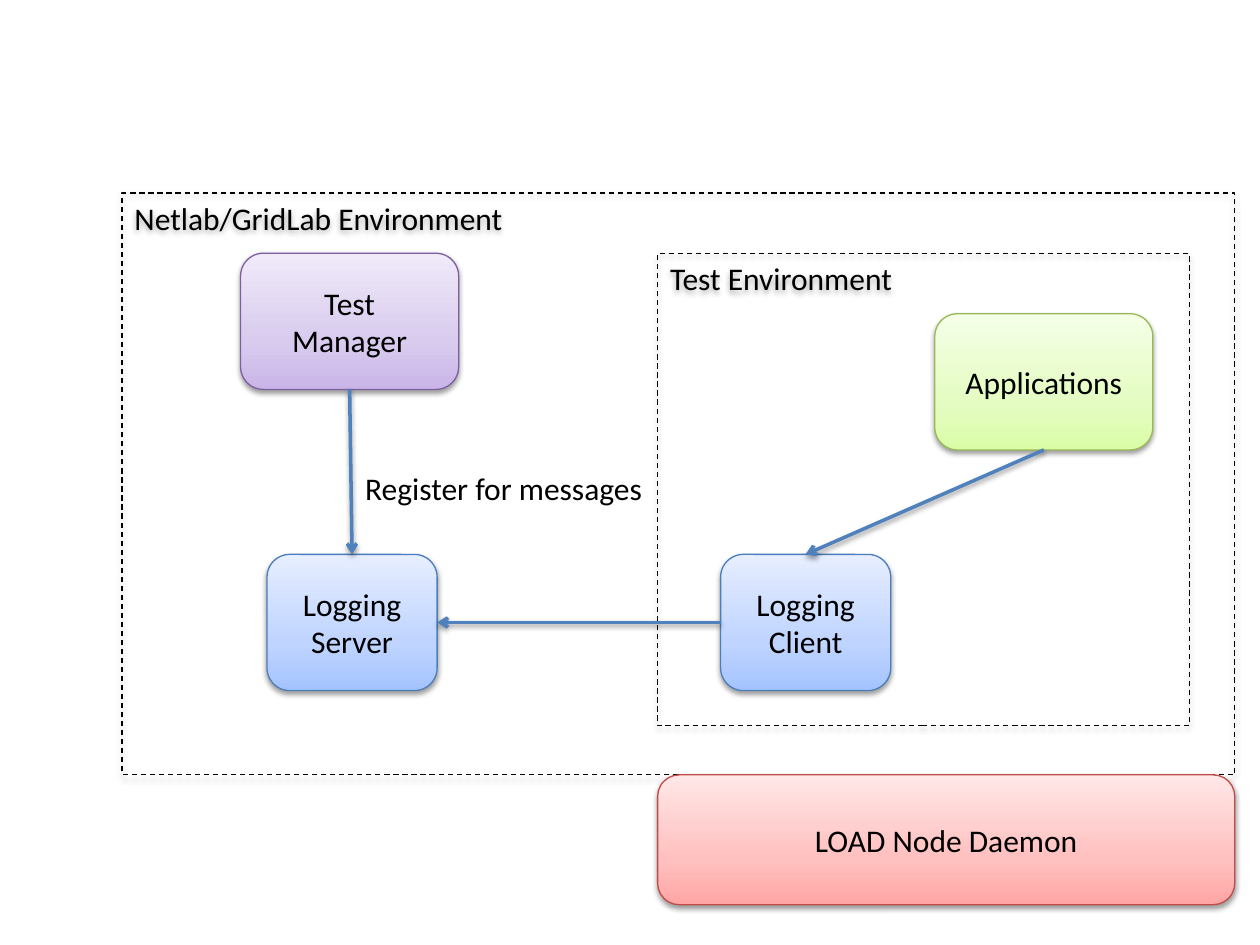
"""Build the logging architecture slide."""
import lxml.etree
import pptx
import pptx.dml.color
import pptx.enum.dml
import pptx.enum.shapes
import pptx.enum.text
import pptx.oxml
import pptx.oxml.ns
import pptx.util

Pt = pptx.util.Pt
SHAPE = pptx.enum.shapes.MSO_SHAPE
ALIGN = pptx.enum.text.PP_ALIGN
ANCHOR = pptx.enum.text.MSO_ANCHOR
NS = pptx.oxml.ns.nsdecls("a")
BLUE = ("A4C4FF", "BFD4FF", "E6EEFF", "4B7EBC")
GREEN = ("DAFDA7", "E4FCC2", "F5FFE7", "98B955")
PURPLE = ("C9B5E8", "D8CBEE", "F0EAF9", "7D60A0")
RED = ("FFA6A5", "FFC0BF", "FFE7E7", "BF4C48")
NODE_H = 77.8


def rgb(value):
    """Return a colour from a hex string."""
    return pptx.dml.color.RGBColor.from_string(value)


def set_attrs(obj, values):
    """Set each attribute named in a dict."""
    for name, value in values.items():
        setattr(obj, name, value)


def set_line(line, color, width, dash=None):
    """Format an outline or a connector line."""
    line.color.rgb = rgb(color)
    set_attrs(line, {"width": Pt(width), "dash_style": dash})


def add_shadow(sp, alpha=38, dist=1.6):
    """Give a shape a soft shadow that falls straight down."""
    sp._element.spPr.append(pptx.oxml.parse_xml(
        f'<a:effectLst {NS}><a:outerShdw blurRad="{Pt(3.1)}" dist="{Pt(dist)}" '
        'dir="5400000" rotWithShape="0"><a:srgbClr val="000000">'
        f'<a:alpha val="{alpha * 1000}"/></a:srgbClr></a:outerShdw></a:effectLst>'))


def set_gradient(sp, colors):
    """Fill a shape with a three-stop gradient, darkest at the bottom."""
    sp.fill.gradient()
    grad = sp._element.spPr.find(pptx.oxml.ns.qn("a:gradFill"))
    for child in list(grad):
        grad.remove(child)
    stops = lxml.etree.SubElement(grad, pptx.oxml.ns.qn("a:gsLst"))
    for pos, color in zip((0, 35, 100), colors):
        stops.append(pptx.oxml.parse_xml(
            f'<a:gs {NS} pos="{pos * 1000}"><a:srgbClr val="{color}"/></a:gs>'))
    grad.append(pptx.oxml.parse_xml(f'<a:lin {NS} ang="16200000" scaled="0"/>'))


def write_text(sp, text, align, anchor, wrap=True):
    """Write one paragraph for each line of text."""
    tf = sp.text_frame
    set_attrs(tf, {"word_wrap": wrap, "vertical_anchor": anchor})
    tf.text = text
    for p in tf.paragraphs:
        p.alignment = align
        for r in p.runs:
            set_attrs(r.font, {"size": Pt(18), "name": "Calibri"})
            r.font.color.rgb = rgb("000000")


def add_node(s, box, text, palette):
    """Add a rounded gradient block with centred text."""
    sp = s.shapes.add_shape(SHAPE.ROUNDED_RECTANGLE, *map(Pt, box))
    set_gradient(sp, palette[:3])
    set_line(sp.line, palette[3], 0.75)
    add_shadow(sp)
    write_text(sp, text, ALIGN.CENTER, ANCHOR.MIDDLE)
    return sp


def add_frame(s, box, text):
    """Add a dashed frame labelled at its top left."""
    sp = s.shapes.add_shape(SHAPE.RECTANGLE, *map(Pt, box))
    sp.fill.background()
    set_line(sp.line, "000000", 0.75, pptx.enum.dml.MSO_LINE.DASH)
    add_shadow(sp, 35, 1.8)
    write_text(sp, text, ALIGN.LEFT, ANCHOR.TOP)


def add_arrow(s, start, start_side, end, end_side):
    """Join the sides of two blocks with an arrow."""
    c = s.shapes.add_connector(pptx.enum.shapes.MSO_CONNECTOR.STRAIGHT, 0, 0, 0, 0)
    c.begin_connect(start, start_side)
    c.end_connect(end, end_side)
    set_line(c.line, "4F81BD", 2)
    c.line._get_or_add_ln().append(
        pptx.oxml.parse_xml(f'<a:tailEnd {NS} type="arrow"/>'))
    add_shadow(c)


def add_test_environment(s, box):
    """Add the test environment and return its logging client."""
    x, y, w, h = box
    client = add_node(s, (x + 36, y + 172.1, 97.2, NODE_H), "Logging\nClient", BLUE)
    apps = add_node(s, (x + w - 145.4, y + 34.6, 124.6, NODE_H), "Applications", GREEN)
    add_arrow(s, apps, 2, client, 0)
    add_frame(s, box, "Test Environment")
    return client


def add_lab_environment(s, box):
    """Add the lab environment with its manager, server and test area."""
    x, y, w, h = box
    manager = add_node(s, (x + 67.7, y + 34.5, 124.6, NODE_H), "Test\nManager", PURPLE)
    server = add_node(s, (x + 82.8, y + 206.6, 97.2, NODE_H), "Logging\nServer", BLUE)
    client = add_test_environment(s, (x + 306, y + 34.5, 303.8, 270))
    add_arrow(s, client, 1, server, 3)
    add_arrow(s, manager, 2, server, 0)
    label = s.shapes.add_textbox(*map(Pt, (x + 131.8, y + 154.2, 174.2, 29)))
    write_text(label, "Register for messages", ALIGN.LEFT, ANCHOR.TOP, False)
    add_frame(s, box, "Netlab/GridLab Environment")


def main():
    """Build and save the slide."""
    prs = pptx.Presentation()
    set_attrs(prs, {"slide_width": Pt(720), "slide_height": Pt(540)})
    s = prs.slides.add_slide(prs.slide_layouts[6])
    add_lab_environment(s, (69.8, 110.2, 635.8, 332.6))
    add_node(s, (375.8, 442.8, 329.8, 74.2), "LOAD Node Daemon", RED)
    prs.save("out.pptx")


if __name__ == "__main__":
    main()
